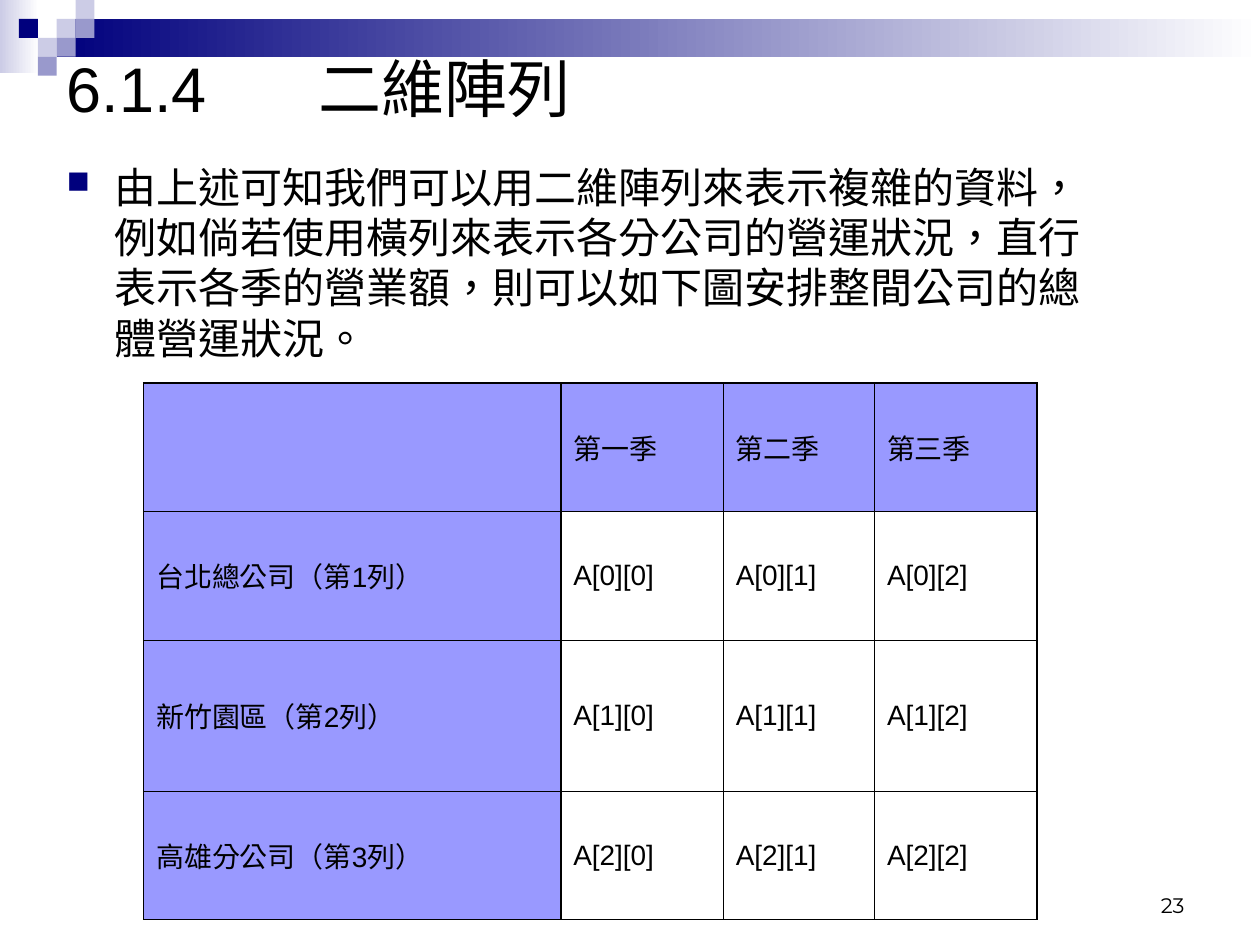
from pptx import Presentation
from pptx.dml.color import RGBColor
from pptx.enum.shapes import MSO_SHAPE
from pptx.enum.text import MSO_ANCHOR, PP_ALIGN
from pptx.oxml.ns import qn
from pptx.util import Inches, Pt
from lxml import etree

RECT = MSO_SHAPE.RECTANGLE
TOP, MIDDLE, BOTTOM = MSO_ANCHOR.TOP, MSO_ANCHOR.MIDDLE, MSO_ANCHOR.BOTTOM
LEFT, RIGHT = PP_ALIGN.LEFT, PP_ALIGN.RIGHT
NAVY, LILAC, MAUVE, HEADER = "00007D", "CCCCE6", "9999CC", "9999FF"
BLACK, WHITE = "000000", "FFFFFF"
UNIT = 0.15
THICK, THIN = 1.08, 0.45

TITLE = "6.1.4\t二維陣列"
BODY = ("由上述可知我們可以用二維陣列來表示複雜的資料，例如倘若使用橫列來表示各分公司的營運狀況，"
        "直行表示各季的營業額，則可以如下圖安排整間公司的總體營運狀況。")
QUARTERS = ["第一季", "第二季", "第三季"]
BRANCHES = ["台北總公司（第1列）", "新竹園區（第2列）", "高雄分公司（第3列）"]


def rgb(value):
    return RGBColor.from_string(value)


def child(parent, tag, **attrs):
    return etree.SubElement(parent, qn(tag), **attrs)


def style(p, size, font="Arial"):
    for r in p.runs:
        r.font.size, r.font.name = Pt(size), font
        r.font.color.rgb = rgb(BLACK)
        r._r.get_or_add_rPr().set("lang", "zh-TW")


def add_text(s, box, text, anchor, align=LEFT):
    tf = s.shapes.add_textbox(*map(Inches, box)).text_frame
    tf.word_wrap, tf.vertical_anchor = True, anchor
    p = tf.paragraphs[0]
    p.text, p.alignment = text, align
    return p


def add_rect(s, box, start, end=None):
    """Plain rectangle, shaded from left to right when an end colour is given."""
    sp = s.shapes.add_shape(RECT, *map(Inches, box))
    sp.shadow.inherit = False
    sp.line.fill.background()
    if end is None:
        sp.fill.solid()
        sp.fill.fore_color.rgb = rgb(start)
        return
    sp.fill.gradient()
    sp.fill.gradient_angle = 0
    for stop, color in zip(sp.fill.gradient_stops, (start, end)):
        stop.color.rgb = rgb(color)


def add_banner(s, width):
    add_rect(s, (0, 0, 0.31, 0.58), LILAC, WHITE)
    add_rect(s, (3 * UNIT, UNIT, width - 3 * UNIT, 2 * UNIT), NAVY, WHITE)
    squares = [(3, 1, LILAC), (4, 0, LILAC), (4, 1, MAUVE), (2, 2, LILAC),
               (1, 1, NAVY), (3, 2, MAUVE), (2, 3, MAUVE)]
    for col, row, color in squares:
        add_rect(s, (col * UNIT, row * UNIT, UNIT, UNIT), color)


def add_title(s, box):
    p = add_text(s, box, TITLE, MIDDLE)
    tabs = child(p._p.get_or_add_pPr(), "a:tabLst")
    child(tabs, "a:tab", pos=str(Inches(2)), algn="l")
    style(p, 36)


def add_body(s, box):
    p = add_text(s, box, BODY, TOP)
    pPr = p._p.get_or_add_pPr()
    indent = Inches(0.38)
    pPr.set("marL", str(indent))
    pPr.set("indent", str(-indent))
    child(child(pPr, "a:buClr"), "a:srgbClr", val=NAVY)
    child(pPr, "a:buSzPct", val="75000")
    child(pPr, "a:buChar", char="■")
    style(p, 24)


def set_borders(cell, **widths):
    tcPr = cell._tc.get_or_add_tcPr()
    for i, side in enumerate("LRTB"):
        ln = etree.Element(qn("a:ln" + side), w=str(Pt(widths[side])))
        child(child(ln, "a:solidFill"), "a:srgbClr", val=BLACK)
        tcPr.insert(i, ln)


def add_sales_table(s, left, top, widths, heights):
    rows = [[""] + QUARTERS]
    rows += [[name] + [f"A[{i}][{j}]" for j in range(len(QUARTERS))]
             for i, name in enumerate(BRANCHES)]
    box = (left, top, sum(widths), sum(heights))
    table = s.shapes.add_table(len(rows), len(widths), *map(Inches, box)).table
    for column, width in zip(table.columns, widths):
        column.width = Inches(width)
    last = len(widths) - 1
    for i, texts in enumerate(rows):
        table.rows[i].height = Inches(heights[i])
        for j, text in enumerate(texts):
            cell = table.cell(i, j)
            cell.text = text
            cell.vertical_anchor = MIDDLE
            style(cell.text_frame.paragraphs[0], 16)
            cell.fill.solid()
            cell.fill.fore_color.rgb = rgb(HEADER if i == 0 or j == 0 else WHITE)
            set_borders(cell, L=THICK if j < 2 else THIN,
                        R=THICK if j in (0, last) else THIN,
                        T=THICK if i == 0 else THIN, B=THIN)


def add_page_number(s, box):
    style(add_text(s, box, "23", BOTTOM, RIGHT), 12, "Montserrat")


def main():
    prs = Presentation()
    prs.slide_width, prs.slide_height = Inches(10), Inches(7.5)
    s = prs.slides.add_slide(prs.slide_layouts[6])
    add_banner(s, 10)
    add_title(s, (0.43, 0, 9, 1.39))
    add_body(s, (0.43, 1.23, 8.36, 1.9))
    add_sales_table(s, 1.14, 3.04, [3.31, 1.29, 1.2, 1.29], [1.02, 1.02, 1.2, 1.02])
    add_page_number(s, (7.17, 6.83, 2.33, 0.5))
    prs.save("out.pptx")


if __name__ == "__main__":
    main()
